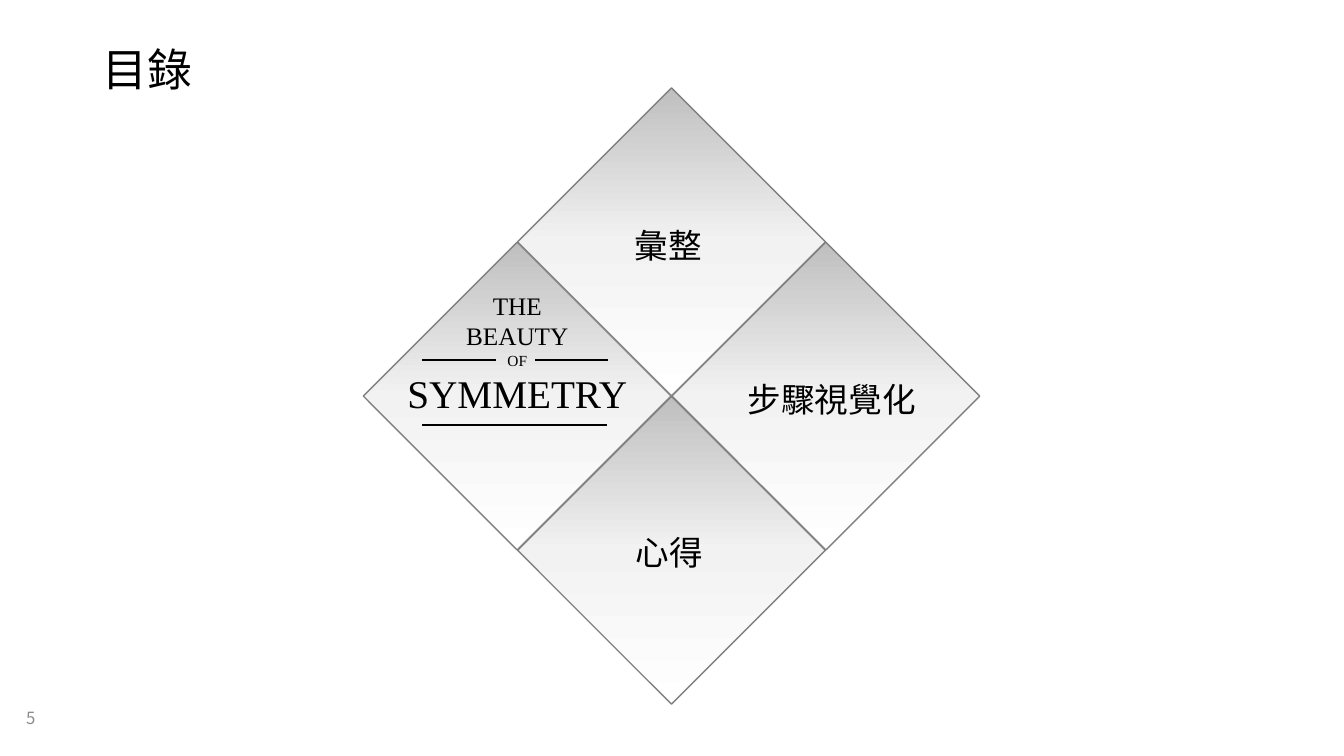
from lxml import etree
from pptx import Presentation
from pptx.dml.color import RGBColor
from pptx.enum.shapes import MSO_CONNECTOR, MSO_SHAPE
from pptx.enum.text import MSO_ANCHOR, MSO_AUTO_SIZE, PP_ALIGN
from pptx.oxml.ns import qn
from pptx.util import Inches, Pt

RECTANGLE = MSO_SHAPE.RECTANGLE
STRAIGHT = MSO_CONNECTOR.STRAIGHT
MIDDLE, TOP = MSO_ANCHOR.MIDDLE, MSO_ANCHOR.TOP
GROW, FIXED = MSO_AUTO_SIZE.SHAPE_TO_FIT_TEXT, MSO_AUTO_SIZE.NONE
CENTER, LEFT = PP_ALIGN.CENTER, PP_ALIGN.LEFT

# Content
SANS, SERIF = "Noto Sans CJK SC", "Times New Roman"
BLACK, GRAY, OUTLINE = "000000", "8C8C8C", "808080"
GRADIENT = [(0, "BFBFBF"), (50, "F2F2F2"), (100, "FFFFFF")]

TITLE = ("目錄", 32)
PAGE_NUMBER = ("5", 12)

# Diamond pattern: shared centre, distance to each diamond's centre, side
CENTER_X, CENTER_Y, STEP, SIDE = 6.66, 3.93, 1.53, 2.16

# Each diamond: direction from the centre, label box, label lines, rules
DIAMONDS = [
    ((-1, 0), (3.72, 2.83, 2.82, 1.36),
     [("THE", 18), ("BEAUTY", 18), ("OF", 11), ("SYMMETRY", 28)],
     [(4.19, 4.92, 3.57), (5.31, 6.03, 3.57), (4.19, 6.02, 4.22)]),
    ((0, -1), (5.91, 2.18, 1.44, 0.5), [("彙整", 24)], []),
    ((1, 0), (7.03, 3.71, 2.44, 0.5), [("步驟視覺化", 24)], []),
    ((0, 1), (5.92, 5.23, 1.44, 0.5), [("心得", 24)], []),
]


def color(hex_value):
    return RGBColor.from_string(hex_value)


def add_text(shapes, box, lines, font_name, hex_value=BLACK,
             align=LEFT, anchor=TOP, fit=FIXED, spacing=None):
    label = shapes.add_textbox(*map(Inches, box))
    frame = label.text_frame
    frame.word_wrap = True
    frame.auto_size = fit
    frame.vertical_anchor = anchor
    for i, (text, size) in enumerate(lines):
        line = frame.paragraphs[0] if i == 0 else frame.add_paragraph()
        line.text = text
        line.alignment = align
        if spacing:
            line.line_spacing = spacing
        line.font.size = Pt(size)
        line.font.color.rgb = color(hex_value)
        line.font.name = font_name


def add_diamond(shapes, direction):
    left = CENTER_X + direction[0] * STEP - SIDE / 2
    top = CENTER_Y + direction[1] * STEP - SIDE / 2
    diamond = shapes.add_shape(RECTANGLE, Inches(left), Inches(top),
                               Inches(SIDE), Inches(SIDE))
    diamond.rotation = 45
    diamond.shadow.inherit = False
    diamond.line.color.rgb = color(OUTLINE)
    diamond.line.width = Pt(1)
    diamond.fill.gradient()
    diamond.fill.gradient_angle = 315  # counter-clockwise, 45 clockwise
    stops = diamond._element.spPr.find(".//" + qn("a:gsLst"))
    for stop in list(stops):
        stops.remove(stop)
    for percent, hex_value in GRADIENT:
        stop = etree.SubElement(stops, qn("a:gs"), pos=str(percent * 1000))
        etree.SubElement(stop, qn("a:srgbClr"), val=hex_value)


def add_rule(shapes, start, end, y):
    rule = shapes.add_connector(STRAIGHT, Inches(start), Inches(y),
                                Inches(end), Inches(y))
    rule.line.color.rgb = color(BLACK)
    rule.line.width = Pt(1.5)
    etree.SubElement(rule._element.spPr, qn("a:effectLst"))


def main():
    deck = Presentation()
    deck.slide_width, deck.slide_height = Inches(13.33), Inches(7.5)
    slide = deck.slides.add_slide(deck.slide_layouts[6])

    # Title and page number
    add_text(slide.shapes, (0.92, 0.4, 11.5, 0.62), [TITLE], SANS,
             anchor=MIDDLE, spacing=0.9)
    add_text(slide.shapes, (0.16, 6.93, 0.67, 0.39), [PAGE_NUMBER], SANS,
             GRAY, anchor=MIDDLE)

    # Four diamonds, each grouped with its label and rules
    for direction, box, lines, rules in DIAMONDS:
        group = slide.shapes.add_group_shape().shapes
        add_diamond(group, direction)
        for rule in rules:
            add_rule(group, *rule)
        add_text(group, box, lines, SERIF, align=CENTER, fit=GROW)

    deck.save("out.pptx")


if __name__ == "__main__":
    main()
